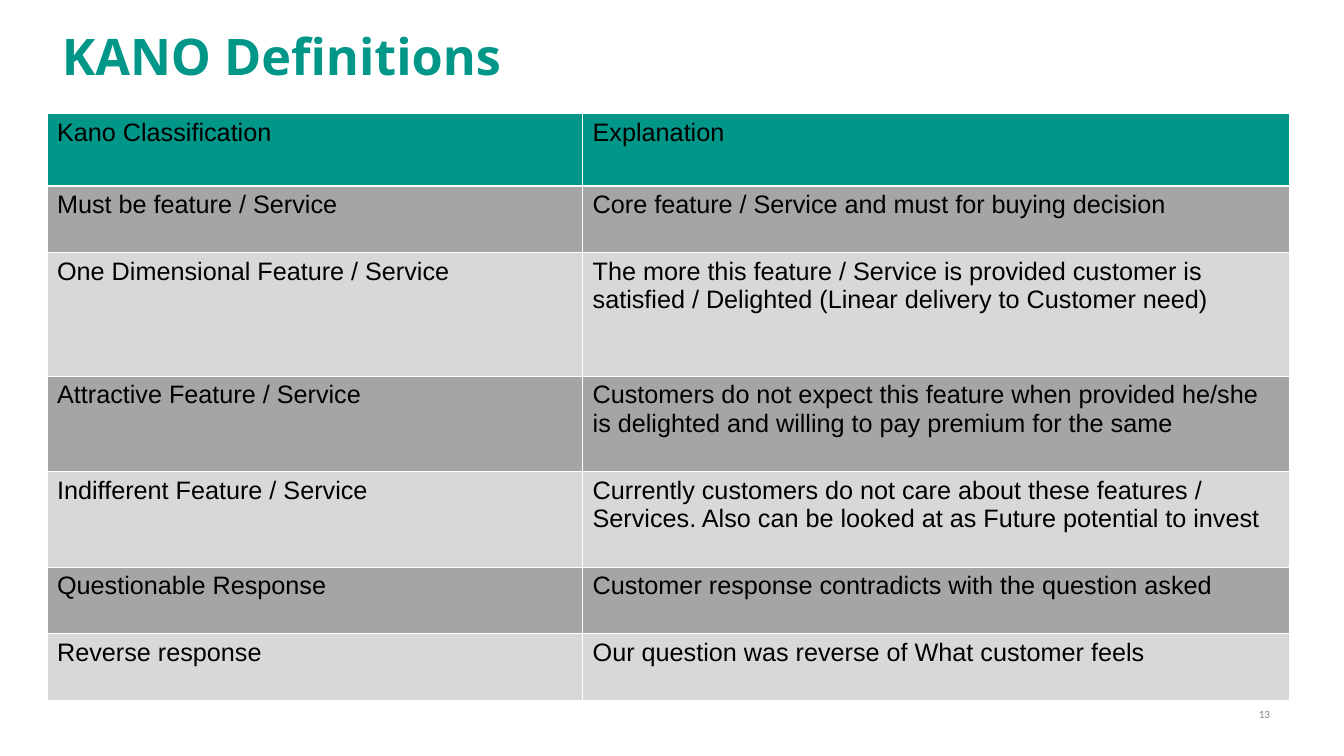
from lxml.etree import SubElement
from pptx import Presentation
from pptx.dml.color import RGBColor
from pptx.enum.text import MSO_ANCHOR as Anchor, MSO_AUTO_SIZE as AutoSize, PP_ALIGN as Align
from pptx.oxml.ns import qn
from pptx.util import Emu, Pt

EMU_PER_PX = 9144
COLORS = {
    "teal": "009688",
    "dark_band": "A5A5A5",
    "light_band": "D8D8D8",
    "text": "000000",
    "number": "888888",
    "border": "FFFFFF",
}
COLUMN_WIDTHS = [797, 1052]
ROW_HEIGHTS = [108, 99, 184, 142, 142, 99, 99]
DEFINITIONS = [
    ("Kano Classification", "Explanation"),
    ("Must be feature / Service", "Core feature / Service and must for buying decision"),
    ("One Dimensional Feature / Service",
     "The more this feature / Service is provided customer is satisfied / Delighted "
     "(Linear delivery to Customer need)"),
    ("Attractive Feature / Service",
     "Customers do not expect this feature when provided he/she is delighted and "
     "willing to pay premium for the same"),
    ("Indifferent Feature / Service",
     "Currently customers do not care about these features / Services. Also can be "
     "looked at as Future potential to invest"),
    ("Questionable Response", "Customer response contradicts with the question asked"),
    ("Reverse response", "Our question was reverse of What customer feels"),
]


def px(length):
    """Turn a length in px into EMU."""
    return Emu(length * EMU_PER_PX)


def set_attributes(target, values):
    """Set each named attribute of the target."""
    for name, value in values.items():
        setattr(target, name, value)


def set_margins(target, horizontal, vertical):
    """Set the inner margins of a text frame or cell."""
    set_attributes(target, {
        "margin_left": px(horizontal), "margin_right": px(horizontal),
        "margin_top": px(vertical), "margin_bottom": px(vertical),
    })


def write_text(text_frame, text, color, font, align=Align.LEFT):
    """Write one formatted paragraph into a text frame."""
    paragraph = text_frame.paragraphs[0]
    paragraph.alignment = align
    run = paragraph.add_run()
    run.text = text
    set_attributes(run.font, font)
    run.font.color.rgb = RGBColor.from_string(COLORS[color])


def set_borders(cell, widths):
    """Give a cell solid borders, with widths in points by side."""
    properties = cell._tc.get_or_add_tcPr()
    for side, width in widths.items():
        line = SubElement(properties, qn(f"a:ln{side}"), w=str(Pt(width)))
        fill = SubElement(line, qn("a:solidFill"))
        SubElement(fill, qn("a:srgbClr"), val=COLORS["border"])


def band_color(row):
    """Name the fill colour of a table row."""
    if row == 0:
        return "teal"
    return "dark_band" if row % 2 else "light_band"


def add_title(slide, text):
    """Place and format the slide title."""
    title = slide.shapes.title
    set_attributes(title, {
        "left": px(72), "top": px(28), "width": px(1467), "height": px(99),
    })
    set_attributes(title.text_frame, {
        "vertical_anchor": Anchor.TOP, "word_wrap": True, "auto_size": AutoSize.NONE,
    })
    set_margins(title.text_frame, 20, 10)
    write_text(title.text_frame, text, "teal",
               {"name": "Open Sans", "size": Pt(54), "bold": True})


def add_definition_table(slide):
    """Add the banded table of classifications and explanations."""
    table = slide.shapes.add_table(
        len(DEFINITIONS), len(COLUMN_WIDTHS), px(70), px(169),
        px(sum(COLUMN_WIDTHS)), px(sum(ROW_HEIGHTS))).table
    set_attributes(table, {"first_row": False, "horz_banding": False})
    for column, width in zip(table.columns, COLUMN_WIDTHS):
        column.width = px(width)
    for row, (texts, height) in enumerate(zip(DEFINITIONS, ROW_HEIGHTS)):
        table.rows[row].height = px(height)
        for column, text in enumerate(texts):
            cell = table.cell(row, column)
            set_margins(cell, 15, 7)
            set_borders(cell, {
                "L": 1, "R": 1, "T": 3 if row == 1 else 1, "B": 3 if row == 0 else 1,
            })
            cell.fill.solid()
            cell.fill.fore_color.rgb = RGBColor.from_string(COLORS[band_color(row)])
            write_text(cell.text_frame, text, "text", {"name": "Arial", "size": Pt(27)})


def add_page_number(slide, number):
    """Add the page number at the bottom right."""
    text_frame = slide.shapes.add_textbox(px(1667), px(1042), px(233), px(40)).text_frame
    set_attributes(text_frame, {"word_wrap": True, "vertical_anchor": Anchor.MIDDLE})
    set_margins(text_frame, 10, 5)
    write_text(text_frame, number, "number",
               {"name": "Calibri", "size": Pt(12)}, Align.RIGHT)


def main():
    """Build and save the slide."""
    presentation = Presentation()
    set_attributes(presentation, {"slide_width": px(2000), "slide_height": px(1125)})
    slide = presentation.slides.add_slide(presentation.slide_layouts[5])
    add_definition_table(slide)
    add_title(slide, "KANO Definitions")
    add_page_number(slide, "13")
    presentation.save("out.pptx")


if __name__ == "__main__":
    main()
